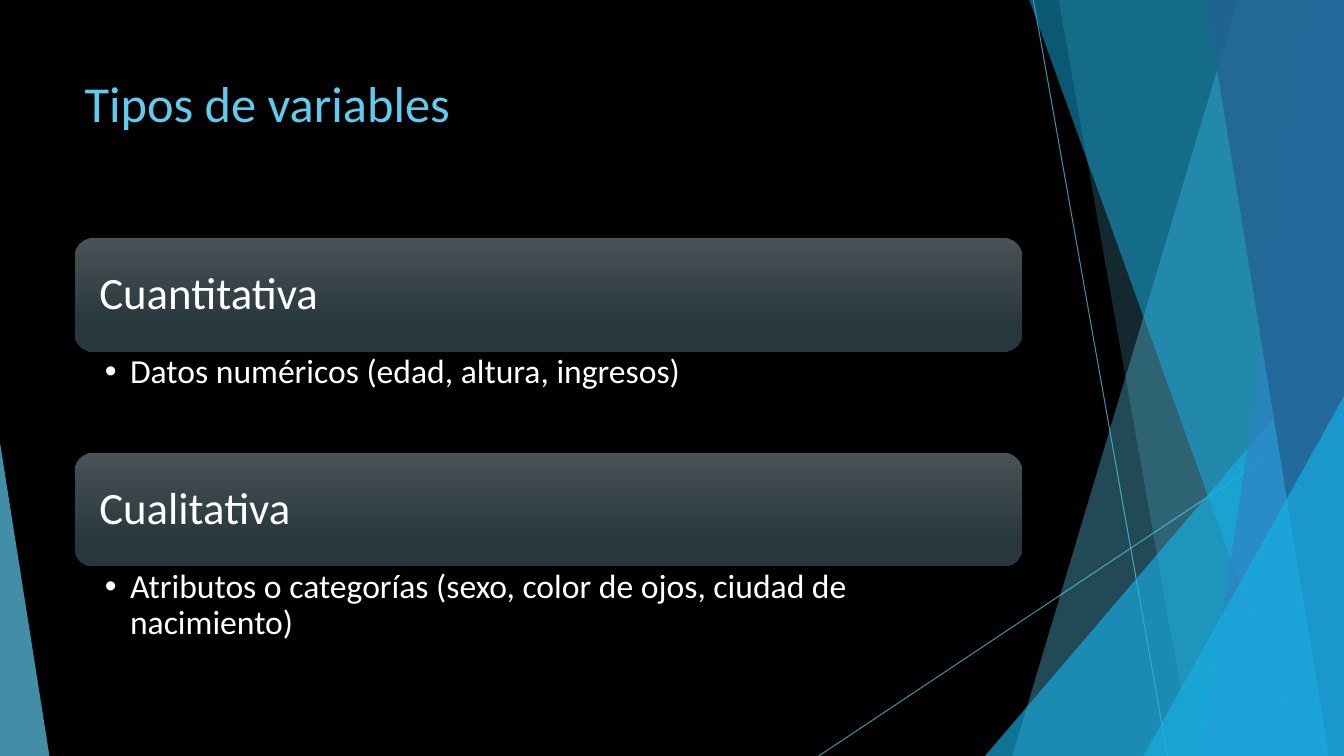
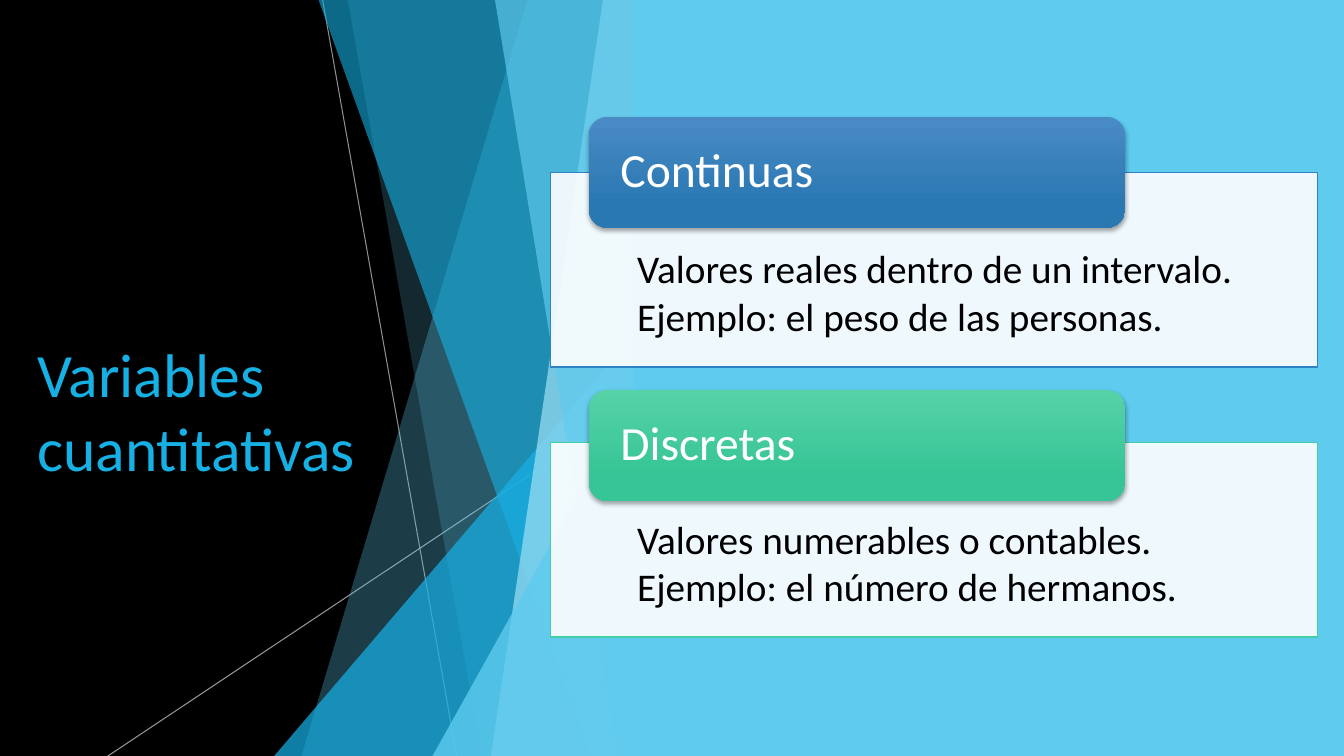
from pptx import Presentation
from pptx.dml.color import RGBColor as Rgb
from pptx.enum.shapes import MSO_CONNECTOR as Link, MSO_SHAPE as Kind
from pptx.enum.text import MSO_ANCHOR as Anchor, PP_ALIGN as Align
from pptx.oxml.ns import qn
from pptx.util import Inches, Pt
from lxml.etree import SubElement as Sub

# Shared look
FONT = "Calibri"
WIDE, HIGH = 13.33, 7.5
SHIFT = -7.05  # moves the facets to the left on the second slide
HEX = {
    "black": "000000", "white": "FFFFFF", "grey": "BFBFBF",
    "sky": "5FCBEF", "pale": "9FE0F5", "cyan": "17B0E4",
    "blue": "2E83C3", "navy": "226292", "mint": "42D0A2",
    "slate1": "495257", "slate2": "28373D",
    "blue1": "4A8BC6", "blue2": "2A78B2",
    "mint1": "56D2A7", "mint2": "36C596",
}

# Facets: bands (top x, foot x) and corner triangles (left, top), back to front
RAYS = [(10.25, 0, 11.58, HIGH), (WIDE, 4.03, 8.12, HIGH)]
FACETS = [
    ("band", 12.28, 10.04), ("band", 10.5, 11.83), ("tri", 9.77, 3.33),
    ("band", 10.21, 12.91), ("band", 13.03, 11.92), ("band", 11.96, 13.18),
    ("tri", 11.34, 3.93),
]
DARK = {
    "rays": [("sky", 70), ("sky", 70)],
    "facets": [("sky", 36), ("sky", 20), ("cyan", 66), ("cyan", 50),
               ("blue", 70), ("navy", 80), ("cyan", 66)],
}
LIGHT = {
    "rays": [("grey", 75), ("grey", 80)],
    "facets": [("sky", 30), ("sky", 20), ("cyan", 72), ("cyan", 60),
               ("pale", 70), ("sky", 65), ("sky", 80)],
}

# Content
TYPES = [
    ("Cuantitativa", "Datos numéricos (edad, altura, ingresos)"),
    ("Cualitativa",
     "Atributos o categorías (sexo, color de ojos, ciudad de nacimiento)"),
]
CARDS = [
    ("Continuas", 1.16, "blue",
     ["Valores reales dentro de un intervalo.",
      "Ejemplo: el peso de las personas."]),
    ("Discretas", 3.87, "mint",
     ["Valores numerables o contables.",
      "Ejemplo: el número de hermanos."]),
]

deck = Presentation()
deck.slide_width, deck.slide_height = Inches(WIDE), Inches(HIGH)


def rgb(name):
    return Rgb.from_string(HEX[name])


def fade(part, alpha):
    for tone in part.element.spPr.iter(qn("a:srgbClr")):
        Sub(tone, qn("a:alpha"), val=str(alpha * 1000))


def paint(shape, name, alpha=100):
    shape.shadow.inherit = False
    shape.fill.solid()
    shape.fill.fore_color.rgb = rgb(name)
    shape.line.fill.background()
    if alpha < 100:
        fade(shape, alpha)
    return shape


def block(slide, kind, box):
    return slide.shapes.add_shape(kind, *map(Inches, box))


def write(shape, *lines, size, color, inset=(0.1, 0.05, 0.1, 0.05),
          anchor=Anchor.TOP, space=1, after=0, bullet=None):
    frame = shape.text_frame
    frame.word_wrap = True
    frame.vertical_anchor = anchor
    (frame.margin_left, frame.margin_top,
     frame.margin_right, frame.margin_bottom) = map(Inches, inset)
    for i, line in enumerate(lines):
        para = frame.add_paragraph() if i else frame.paragraphs[0]
        if bullet:
            props = para._p.get_or_add_pPr()
            props.set("marL", str(Inches(0.25)))
            props.set("indent", str(Inches(-0.25)))
            Sub(props, qn("a:buFont"), typeface="Arial")
            Sub(props, qn("a:buChar"), char=bullet)
        para.alignment = Align.LEFT
        para.line_spacing = space
        para.space_after = Pt(after)
        run = para.add_run()
        run.text = line
        run.font.name, run.font.size = FONT, Pt(size)
        run.font.color.rgb = rgb(color)


def label(slide, text, box, tone, *, size, inset, blur, drop):
    """Rounded gradient bar with a soft shadow."""
    bar = paint(block(slide, Kind.ROUNDED_RECTANGLE, box), tone + "1")
    bar.fill.gradient()
    bar.fill.gradient_angle = 270
    for stop, at, end in zip(bar.fill.gradient_stops, (0, 0.78), "12"):
        stop.position = at
        stop.color.rgb = rgb(tone + end)
    glow = Sub(bar.element.spPr.find(qn("a:effectLst")), qn("a:outerShdw"),
               blurRad=str(Pt(blur)), dist=str(Pt(drop)), dir="5400000",
               rotWithShape="0")
    ink = Sub(glow, qn("a:srgbClr"), val=HEX["black"])
    Sub(ink, qn("a:alpha"), val="35000")
    write(bar, text, size=size, color="white", inset=(inset, 0, inset, 0),
          anchor=Anchor.MIDDLE, space=0.9)


def corner(slide, left, top, right, lean):
    tri = block(slide, Kind.ISOSCELES_TRIANGLE,
                (left, top, right - left, HIGH - top))
    tri.adjustments[0] = lean
    return tri


def start(title, box, look, *, shift=0, **style):
    """New black slide with its facets and title."""
    slide = deck.slides.add_slide(deck.slide_layouts[6])
    slide.background.fill.solid()
    slide.background.fill.fore_color.rgb = rgb("black")
    edge = WIDE + shift
    for (x1, y1, x2, y2), (name, alpha) in zip(RAYS, look["rays"]):
        ends = map(Inches, (x1 + shift, y1, x2 + shift, y2))
        ray = slide.shapes.add_connector(Link.STRAIGHT, *ends)
        ray.line.color.rgb = rgb(name)
        ray.line.width = Pt(0.75)
        fade(ray, alpha)
        Sub(ray.element.spPr, qn("a:effectLst"))
    for (kind, a, b), (name, alpha) in zip(FACETS, look["facets"]):
        if kind == "tri":
            part = corner(slide, a + shift, b, edge, 1)
        else:
            path = [(a + shift, 0), (edge, 0), (edge, HIGH), (b + shift, HIGH)]
            first, *rest = [tuple(map(Inches, p)) for p in path]
            pen = slide.shapes.build_freeform(*first)
            pen.add_line_segments(rest)
            part = pen.convert_to_shape()
        paint(part, name, alpha)
    head = slide.shapes.add_textbox(*map(Inches, box))
    write(head, title, **style)
    return slide


# Slide 1: kinds of variable
slide = start("Tipos de variables", (0.74, 0.67, 9.4, 1.44), DARK,
              size=36, color="sky")
paint(corner(slide, 0, 4.39, 0.49, 0), "sky", 70)
for i, (name, note) in enumerate(TYPES):
    top = 2.36 + 2.13 * i
    label(slide, name, (0.74, top, 9.4, 1.13), "slate",
          size=32, inset=0.19, blur=4, drop=3)
    body = slide.shapes.add_textbox(
        *map(Inches, (0.74, top + 1.13, 9.4, 1)))
    write(body, note, size=24, color="white", inset=(0.3, 0.03, 0.19, 0.03),
          space=0.9, after=5, bullet="•")

# Slide 2: quantitative variables
slide = start("Variables cuantitativas", (0.27, 1.83, 3.88, 4.48), LIGHT,
              shift=SHIFT, size=44, color="cyan", anchor=Anchor.MIDDLE)
left = WIDE + SHIFT
paint(block(slide, Kind.RECTANGLE, (left, 0, WIDE - left, HIGH)), "sky")
for i, (name, top, tone, notes) in enumerate(CARDS):
    card = block(slide, Kind.RECTANGLE, (5.46, 1.71 + 2.68 * i, 7.61, 1.93))
    paint(card, "white", 90)
    card.line.color.rgb = rgb(tone)
    card.line.width = Pt(1)
    write(card, *notes, size=28, color="black",
          inset=(0.86, 0.77, 0.59, 0.22), space=0.9, after=4)
    label(slide, name, (5.84, top, 5.32, 1.1), tone,
          size=34, inset=0.26, blur=3, drop=2)

deck.save("out.pptx")
